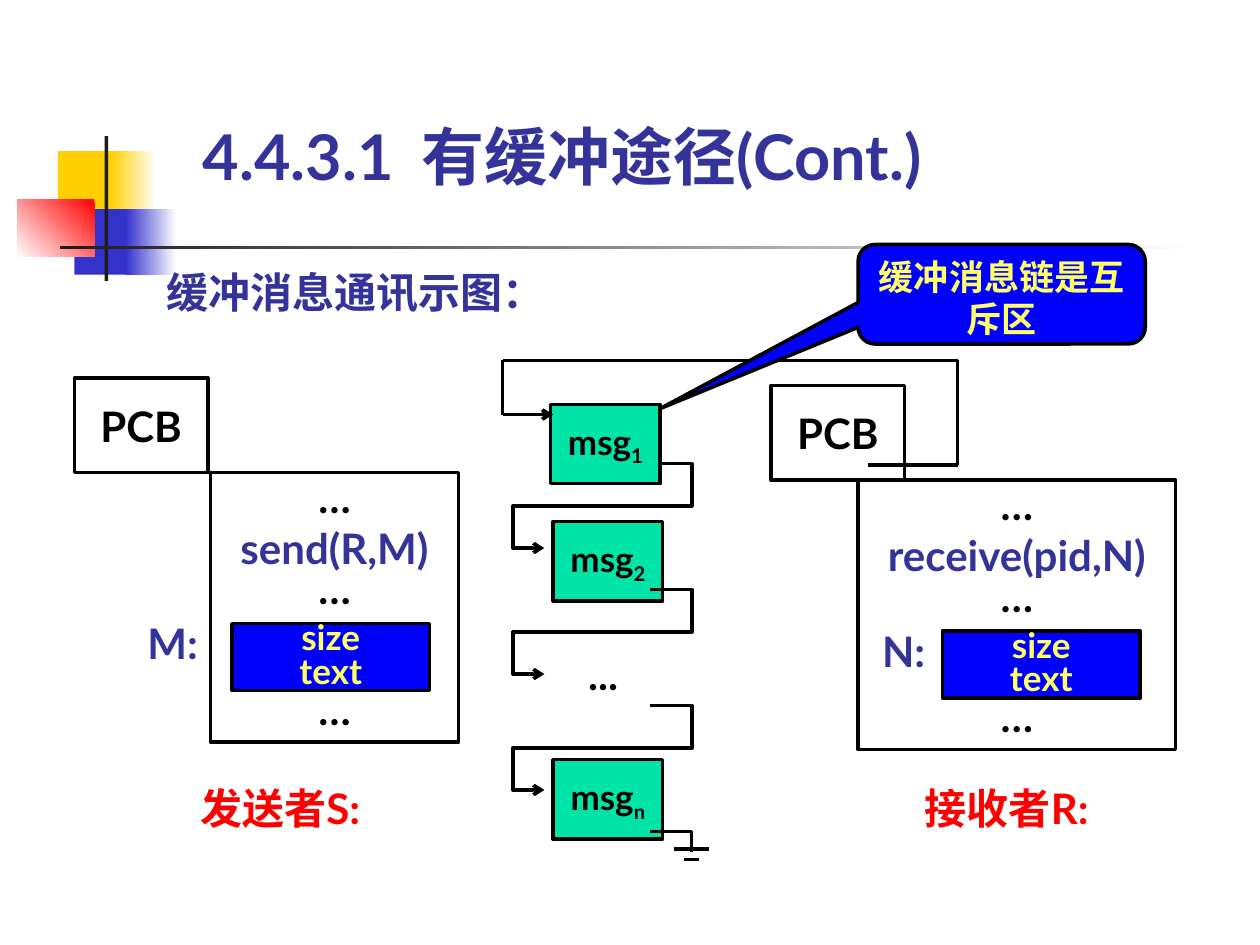
from dataclasses import dataclass
from typing import Optional

import pptx
import pptx.dml.color
import pptx.enum.shapes
import pptx.enum.text
import pptx.oxml.ns
import pptx.util
from lxml import etree

SHAPE = pptx.enum.shapes.MSO_SHAPE
ALIGN = pptx.enum.text.PP_ALIGN
ANCHOR = pptx.enum.text.MSO_ANCHOR
qn = pptx.oxml.ns.qn

prs = pptx.Presentation()
prs.slide_width = pptx.util.Inches(10)
prs.slide_height = pptx.util.Inches(7.5)
COL = prs.slide_width / 100
ROW = prs.slide_height / 75
INSET = (1, 0.5)
FLUSH = (0, 0)
BLACK, WHITE, NAVY, RED = "000000", "FFFFFF", "333399", "FF0000"
BLUE, YELLOW, GREEN = "0000FF", "FFFF66", "00E4A8"


@dataclass
class Run:
    text: str
    color: str = BLACK
    size: int = 24
    font: str = "Lato"
    baseline: int = 0
    spacing: int = 0


@dataclass
class Para:
    runs: list[Run]
    before: int = 0


@dataclass
class Process:
    left: float
    top: float
    body_left: float
    body_width: float
    call: str
    label: str
    label_left: float
    buffer_left: float
    caption: str
    caption_left: float


@dataclass
class Block:
    left: float
    top: float
    width: float
    height: float
    color: str
    fade_to: Optional[str] = None
    angle: int = 180


def rgb(color: str):
    return pptx.dml.color.RGBColor.from_string(color)


def place(sp, left: float, top: float, width: float, height: float) -> None:
    box = dict(left=left * COL, top=top * ROW, width=width * COL, height=height * ROW)
    for name, value in box.items():
        setattr(sp, name, round(value))


def write(sp, paras: list[Para], align=ALIGN.CENTER, anchor=ANCHOR.MIDDLE,
          inset=INSET, wrap=False, leading=None) -> None:
    tf = sp.text_frame
    x, y = round(inset[0] * COL), round(inset[1] * ROW)
    frame = dict(margin_left=x, margin_right=x, margin_top=y, margin_bottom=y,
                 vertical_anchor=anchor, word_wrap=wrap)
    for name, value in frame.items():
        setattr(tf, name, value)
    for i, para in enumerate(paras):
        p = tf.paragraphs[0] if i == 0 else tf.add_paragraph()
        p.alignment = align
        p.space_before = pptx.util.Pt(para.before)
        if leading:
            p.line_spacing = leading
        for run in para.runs:
            r = p.add_run()
            r.text = run.text
            style = dict(name=run.font, size=pptx.util.Pt(run.size), bold=True)
            for name, value in style.items():
                setattr(r.font, name, value)
            r.font.color.rgb = rgb(run.color)
            rpr = r._r.get_or_add_rPr()
            etree.SubElement(rpr, qn("a:ea"), typeface="Noto Sans CJK SC")
            for name, value in dict(baseline=run.baseline, spc=run.spacing).items():
                if value:
                    rpr.set(name, str(value))


def stroke(sp, arrow: bool = False) -> None:
    sp.line.color.rgb = rgb(BLACK)
    sp.line.width = pptx.util.Pt(2)
    if arrow:
        etree.SubElement(sp.line._get_or_add_ln(), qn("a:tailEnd"), type="arrow")


def draw_box(s, at: tuple, fill: str, kind=SHAPE.RECTANGLE):
    sp = s.shapes.add_shape(kind, 0, 0, 0, 0)
    place(sp, *at)
    sp.shadow.inherit = False
    sp.fill.solid()
    sp.fill.fore_color.rgb = rgb(fill)
    stroke(sp)
    return sp


def draw_text(s, at: tuple, run: Run, inset=FLUSH, leading=None) -> None:
    sp = s.shapes.add_textbox(0, 0, 0, 0)
    place(sp, *at)
    write(sp, [Para([run])], ALIGN.LEFT, ANCHOR.TOP, inset, True, leading)


def draw_line(s, x1: float, y1: float, x2: float, y2: float, arrow: bool = False) -> None:
    ends = (x1 * COL, y1 * ROW, x2 * COL, y2 * ROW)
    sp = s.shapes.add_connector(pptx.enum.shapes.MSO_CONNECTOR.STRAIGHT, *map(round, ends))
    stroke(sp, arrow)
    etree.SubElement(sp._element.spPr, qn("a:effectLst"))


def draw_path(s, points: list[tuple], arrow: bool = False) -> None:
    start, *rest = [(round(x * COL), round(y * ROW)) for x, y in points]
    fb = s.shapes.build_freeform(*start)
    fb.add_line_segments(rest, close=False)
    sp = fb.convert_to_shape()
    sp.shadow.inherit = False
    sp.fill.background()
    stroke(sp, arrow)


def draw_block(s, b: Block) -> None:
    sp = draw_box(s, (b.left, b.top, b.width, b.height), b.color)
    sp.line.fill.background()
    if b.fade_to:
        sp.fill.gradient()
        sp.fill.gradient_angle = b.angle
        for stop, color in zip(sp.fill.gradient_stops, (b.color, b.fade_to)):
            stop.color.rgb = rgb(color)


def draw_process(s, d: Process) -> None:
    write(draw_box(s, (d.left, d.top, 10.6, 7.5), WHITE), [Para([Run("PCB")])])
    body = draw_box(s, (d.body_left, d.top + 7.5, d.body_width, 21.4), WHITE)
    write(body, [Para([Run("…")]), Para([Run(d.call, NAVY)], 6),
                 Para([Run("…")]), Para([Run("…")], 46)], leading=0.8)
    draw_text(s, (d.label_left, d.top + 19.8, 5.2, 3.2), Run(d.label, NAVY), leading=0.8)
    buffer = draw_box(s, (d.buffer_left, d.top + 19.5, 15.7, 5.3), BLUE)
    write(buffer, [Para([Run(word, YELLOW, 20)]) for word in ("size", "text")],
          anchor=ANCHOR.TOP, inset=FLUSH, wrap=True, leading=0.8)
    draw_text(s, (d.caption_left, 62.1, 19.2, 4), Run(d.caption, RED))


def draw_message(s, left: float, top: float, index: str) -> None:
    sp = draw_box(s, (left, top, 8.7, 6.3), GREEN)
    write(sp, [Para([Run("msg", size=20), Run(index, size=20, baseline=-25000)])])


def draw_link(s, top: float) -> None:
    draw_path(s, [(51.6, top), (54.9, top), (54.9, top + 3.35), (40.7, top + 3.35),
                  (40.7, top + 6.7), (43.2, top + 6.7)], arrow=True)


BLOCKS = [
    Block(4.6, 12, 4.8, 5.2, "FFCF01"),
    Block(8.8, 12, 3.6, 5.2, WHITE, "FFCF01"),
    Block(5.9, 16.6, 4.6, 5.2, "3333CC"),
    Block(10, 16.6, 4, 5.2, WHITE, "3333CC"),
    Block(1.4, 15.8, 6.1, 4.6, RED, WHITE, 225),
    Block(8.3, 10.8, 0.3, 11.5, "1C1C1C"),
    Block(4.8, 19.5, 90, 0.3, WHITE, "1C1C1C"),
]
PROCESSES = [
    Process(5.9, 30, 16.7, 19.7, "send(R,M)", "M:", 11.7, 18.4, "发送者S:", 15.9),
    Process(61.2, 30.6, 68.1, 25.2, "receive(pid,N)", "N:", 70, 74.8, "接收者R:", 73.4),
]


def main() -> None:
    s = prs.slides.add_slide(prs.slide_layouts[5])
    for block in BLOCKS:
        draw_block(s, block)
    title = s.shapes.title
    place(title, 16.1, 9.3, 63, 6)
    write(title, [Para([Run("4.4.3.1", NAVY, 36), Run(" ", NAVY, 36, spacing=700),
                        Run("有缓冲途径(Cont.)", NAVY, 36)])],
          ALIGN.LEFT, ANCHOR.BOTTOM, FLUSH, True)
    title.text_frame.auto_size = pptx.enum.text.MSO_AUTO_SIZE.NONE
    draw_text(s, (12.2, 20.7, 32.3, 5),
              Run("缓冲消息通讯示图：", NAVY, font="Noto Sans CJK SC"), INSET)
    for process in PROCESSES:
        draw_process(s, process)

    draw_message(s, 43.9, 41.4, "2")
    draw_message(s, 43.9, 60.3, "n")
    for top in (36.8, 46.8, 56):
        draw_link(s, top)
    draw_text(s, (45.7, 51, 5.8, 5), Run("..."), INSET)
    draw_path(s, [(51.6, 66), (54.9, 66), (54.9, 67.6)])
    draw_line(s, 53.5, 67.4, 56.3, 67.4)
    draw_line(s, 54.3, 68.2, 55.5, 68.2)

    queue = [(68.9, 36.9), (76, 36.9), (76, 28.6), (39.9, 28.6), (39.9, 32.9), (43.9, 32.9)]
    draw_message(s, 43.7, 32.1, "1")
    for start, end in zip(queue, queue[1:]):
        draw_line(s, *start, *end, arrow=end == queue[-1])

    note = draw_box(s, (68.1, 19.4, 22.8, 7.9), BLUE, SHAPE.ROUNDED_RECTANGULAR_CALLOUT)
    for i, value in enumerate((-1.19, 1.15, 0.17)):
        note.adjustments[i] = value
    write(note, [Para([Run("缓冲消息链是互斥区", YELLOW, 20)])], anchor=ANCHOR.TOP, wrap=True)
    prs.save("out.pptx")


if __name__ == "__main__":
    main()
